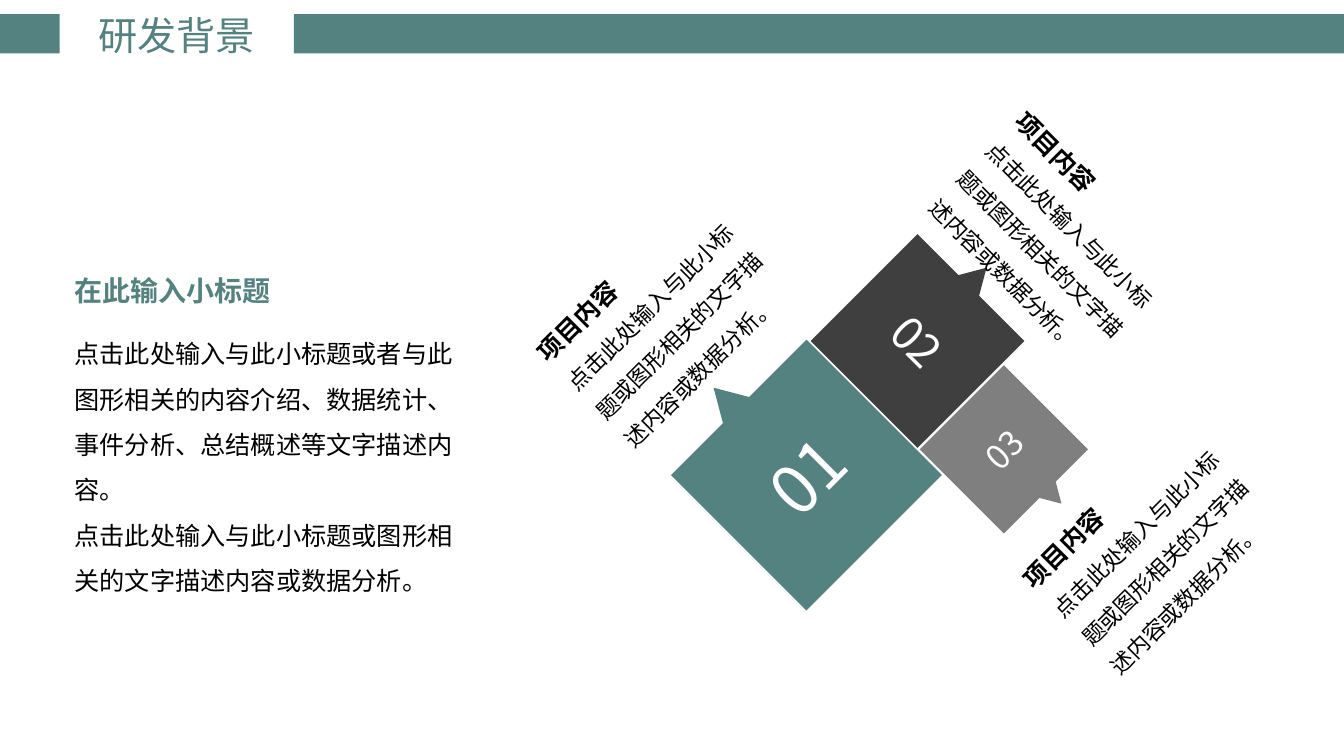
import math

from lxml import etree
from pptx import Presentation
from pptx import util as u
from pptx.dml.color import RGBColor
from pptx.enum import shapes, text
from pptx.oxml import ns

COLORS = {
    "teal": "548280",
    "dark": "3F3F3F",
    "gray": "7F7F7F",
    "white": "FFFFFF",
    "black": "000000",
}
FONT = "Noto Sans CJK SC"
DETAIL = "点击此处输入与此小标题或图形相关的文字描述内容或数据分析。"
INTRO = "点击此处输入与此小标题或者与此图形相关的内容介绍、数据统计、事件分析、总结概述等文字描述内容。"


class SlideBuilder:
    def __init__(self, slide):
        self.slide = slide

    def color(self, name):
        return RGBColor.from_string(COLORS[name])

    def style(self, paragraph, size, color, bold=False, spacing=None, align=None):
        font = paragraph.font
        font.size = u.Pt(size)
        font.bold = bold
        font.color.rgb = self.color(color)
        font.name = FONT
        defaults = paragraph._p.pPr.find(ns.qn("a:defRPr"))
        etree.SubElement(defaults, ns.qn("a:ea"), typeface=FONT)
        if spacing:
            paragraph.line_spacing = spacing
        if align:
            paragraph.alignment = align

    def block(self, parent, kind, left, top, width, height, color, rotation=0):
        block = parent.add_shape(
            kind, u.Pt(left), u.Pt(top), u.Pt(width), u.Pt(height))
        block.rotation = rotation
        block.shadow.inherit = False
        block.fill.solid()
        block.fill.fore_color.rgb = self.color(color)
        block.line.fill.background()
        return block

    def bar(self, left, width):
        self.block(self.slide.shapes, shapes.MSO_SHAPE.RECTANGLE,
                   left, 10.1, width, 28.1, "teal")

    def text(self, left, top, width, height, paragraphs, rotation=0,
             wrap=True, anchor=text.MSO_ANCHOR.TOP):
        box = self.slide.shapes.add_textbox(
            u.Pt(left), u.Pt(top), u.Pt(width), u.Pt(height))
        box.rotation = rotation
        frame = box.text_frame
        frame.word_wrap = wrap
        frame.auto_size = text.MSO_AUTO_SIZE.SHAPE_TO_FIT_TEXT
        frame.vertical_anchor = anchor
        frame.text = "\n".join(wording for wording, _ in paragraphs)
        for paragraph, (_, look) in zip(frame.paragraphs, paragraphs):
            self.style(paragraph, **look)

    def callout(self, number, center_x, center_y, side, size, color,
                rotation, pointer_rotation):
        group = self.slide.shapes.add_group_shape().shapes
        square = self.block(group, shapes.MSO_SHAPE.RECTANGLE,
                            center_x - side / 2, center_y - side / 2,
                            side, side, color, rotation)
        frame = square.text_frame
        frame.text = number
        frame.vertical_anchor = text.MSO_ANCHOR.MIDDLE
        self.style(frame.paragraphs[0], size, "white", align=text.PP_ALIGN.CENTER)

        angle = math.radians(pointer_rotation)
        across, outward = -0.02 * side, -0.575 * side
        pointer_x = center_x + across * math.cos(angle) - outward * math.sin(angle)
        pointer_y = center_y + across * math.sin(angle) + outward * math.cos(angle)
        width, height = 0.21 * side, 0.18 * side
        self.block(group, shapes.MSO_SHAPE.ISOSCELES_TRIANGLE,
                   pointer_x - width / 2, pointer_y - height / 2,
                   width, height, color, pointer_rotation)

    def caption(self, left, top, rotation):
        self.text(left, top, 183.6, 127.4, [
            ("项目内容", dict(size=18, color="black", bold=True, spacing=1.5)),
            (DETAIL, dict(size=16, color="black", spacing=1.5)),
        ], rotation)


def main():
    deck = Presentation()
    deck.slide_width = u.Pt(960)
    deck.slide_height = u.Pt(540)
    page = SlideBuilder(deck.slides.add_slide(deck.slide_layouts[6]))

    page.bar(0, 42.7)
    page.bar(210, 750)
    page.text(62.6, 4.3, 127.4, 41, [
        ("研发背景", dict(size=28, color="teal", align=text.PP_ALIGN.CENTER)),
    ], wrap=False, anchor=text.MSO_ANCHOR.MIDDLE)

    page.callout("01", 576, 339.3, 136.8, 48, "teal", 315, 315)
    page.callout("02", 655.4, 243.6, 108, 32, "dark", 45, 45)
    page.callout("03", 717, 321, 85, 24, "gray", 315, 135)

    page.caption(382.3, 158.4, 315)
    page.caption(669.6, 106.6, 45)
    page.caption(729.4, 320.4, 315)

    page.text(46.1, 191.5, 283.7, 31.7, [
        ("在此输入小标题", dict(size=20, color="teal", bold=True)),
    ])
    body = dict(size=18, color="black", spacing=1.5)
    page.text(46.1, 227.5, 293, 203.8, [(INTRO, body), (DETAIL, body)])

    deck.save("out.pptx")


if __name__ == "__main__":
    main()
